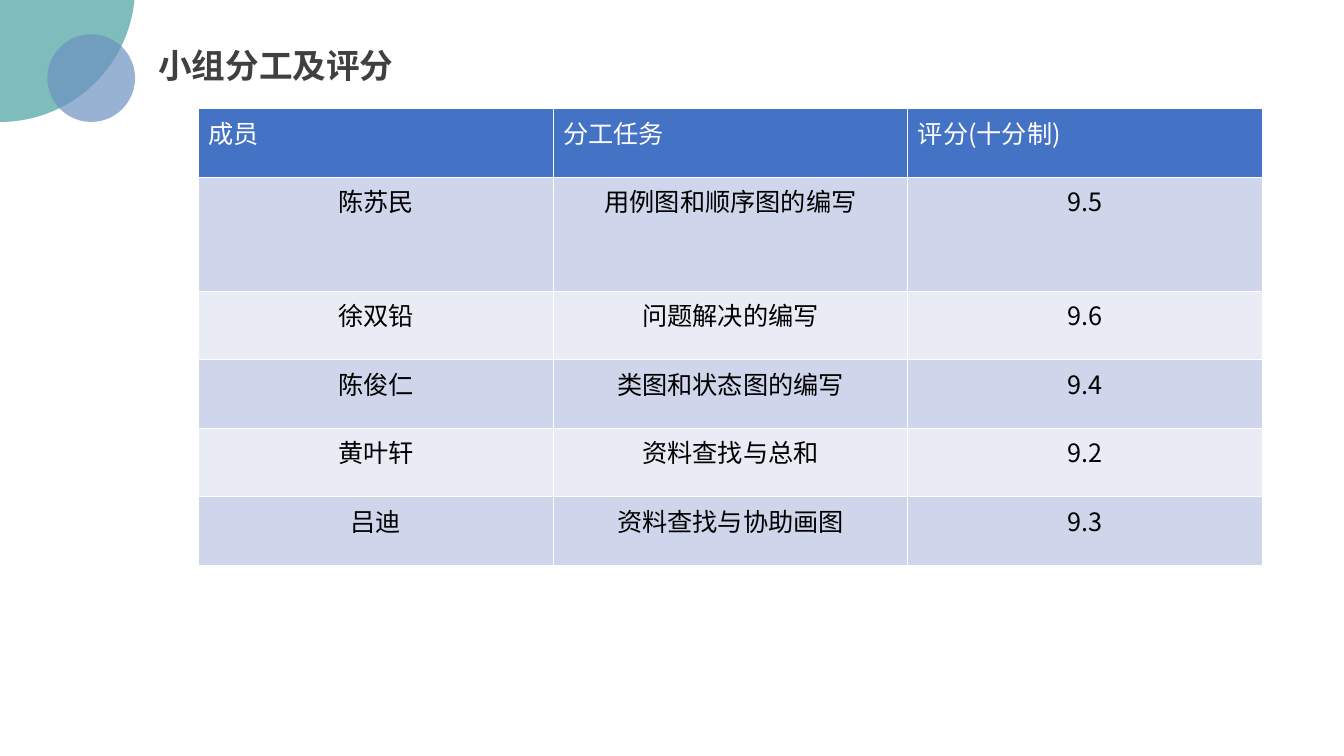
from dataclasses import dataclass

from lxml.etree import SubElement
from pptx import Presentation
from pptx.dml.color import RGBColor
from pptx.enum.shapes import MSO_SHAPE
from pptx.enum.text import MSO_ANCHOR, MSO_AUTO_SIZE, PP_ALIGN
from pptx.oxml.ns import qn
from pptx.util import Inches, Pt


@dataclass(frozen=True)
class Theme:
    font: str = "Noto Sans CJK SC"
    title_size: int = 24
    table_size: int = 18
    title_color: str = "404040"
    header_text: str = "FFFFFF"
    body_text: str = "000000"
    header_fill: str = "4472C4"
    band_fills: tuple = ("CFD5EA", "E9EBF5")
    large_circle: str = "48A2A0"
    small_circle: str = "6C92C0"
    circle_opacity: int = 70


def apply_format(target, values):
    for name, value in values.items():
        setattr(target, name, value)


def paint(fill, color):
    fill.solid()
    fill.fore_color.rgb = RGBColor.from_string(color)


class SlideBuilder:
    def __init__(self, slide, theme):
        self.slide = slide
        self.theme = theme

    def add_text(self, frame, text, size, color, bold=False, align=PP_ALIGN.LEFT):
        para = frame.paragraphs[0]
        para.alignment = align
        span = para.add_run()
        span.text = text
        apply_format(span.font, {"name": self.theme.font, "size": Pt(size), "bold": bold})
        span.font.color.rgb = RGBColor.from_string(color)
        east_asian = SubElement(span.font._element, qn("a:ea"))
        east_asian.set("typeface", self.theme.font)

    def circle(self, left, top, diameter, color):
        shape = self.slide.shapes.add_shape(
            MSO_SHAPE.OVAL, Inches(left), Inches(top), Inches(diameter), Inches(diameter))
        shape.shadow.inherit = False
        paint(shape.fill, color)
        shape.line.fill.background()
        fill_color = shape.element.spPr.find(qn("a:solidFill")).find(qn("a:srgbClr"))
        alpha = SubElement(fill_color, qn("a:alpha"))
        alpha.set("val", str(self.theme.circle_opacity * 1000))

    def title(self, text, left, top, width, height):
        box = self.slide.shapes.title
        apply_format(box, {"left": Inches(left), "top": Inches(top),
                           "width": Inches(width), "height": Inches(height)})
        apply_format(box.text_frame, {"word_wrap": False, "vertical_anchor": MSO_ANCHOR.TOP,
                                      "auto_size": MSO_AUTO_SIZE.SHAPE_TO_FIT_TEXT})
        self.add_text(box.text_frame, text, self.theme.title_size,
                      self.theme.title_color, bold=True)

    def table(self, rows, left, top, width, heights):
        theme = self.theme
        table = self.slide.shapes.add_table(
            len(rows), len(rows[0]), Inches(left), Inches(top),
            Inches(width), Inches(sum(heights))).table
        for row_index, (values, height) in enumerate(zip(rows, heights)):
            table.rows[row_index].height = Inches(height)
            if row_index == 0:
                fill, color, align = theme.header_fill, theme.header_text, PP_ALIGN.LEFT
            else:
                fill = theme.band_fills[(row_index - 1) % len(theme.band_fills)]
                color, align = theme.body_text, PP_ALIGN.CENTER
            for column_index, value in enumerate(values):
                cell = table.cell(row_index, column_index)
                paint(cell.fill, fill)
                self.add_text(cell.text_frame, value, theme.table_size, color, align=align)


MEMBERS = [
    ("成员", "分工任务", "评分(十分制)"),
    ("陈苏民", "用例图和顺序图的编写", "9.5"),
    ("徐双铅", "问题解决的编写", "9.6"),
    ("陈俊仁", "类图和状态图的编写", "9.4"),
    ("黄叶轩", "资料查找与总和", "9.2"),
    ("吕迪", "资料查找与协助画图", "9.3"),
]

deck = Presentation()
apply_format(deck, {"slide_width": Inches(13.33), "slide_height": Inches(7.5)})
theme = Theme()
page = SlideBuilder(deck.slides.add_slide(deck.slide_layouts.get_by_name("Title Only")), theme)

page.circle(-1.34, -1.47, 2.68, theme.large_circle)
page.circle(0.47, 0.34, 0.87, theme.small_circle)
page.title("小组分工及评分", 1.47, 0.4, 2.56, 0.5)
page.table(MEMBERS, 1.97, 1.08, 10.55, [0.68, 1.13] + [0.68] * 4)

deck.save("out.pptx")
